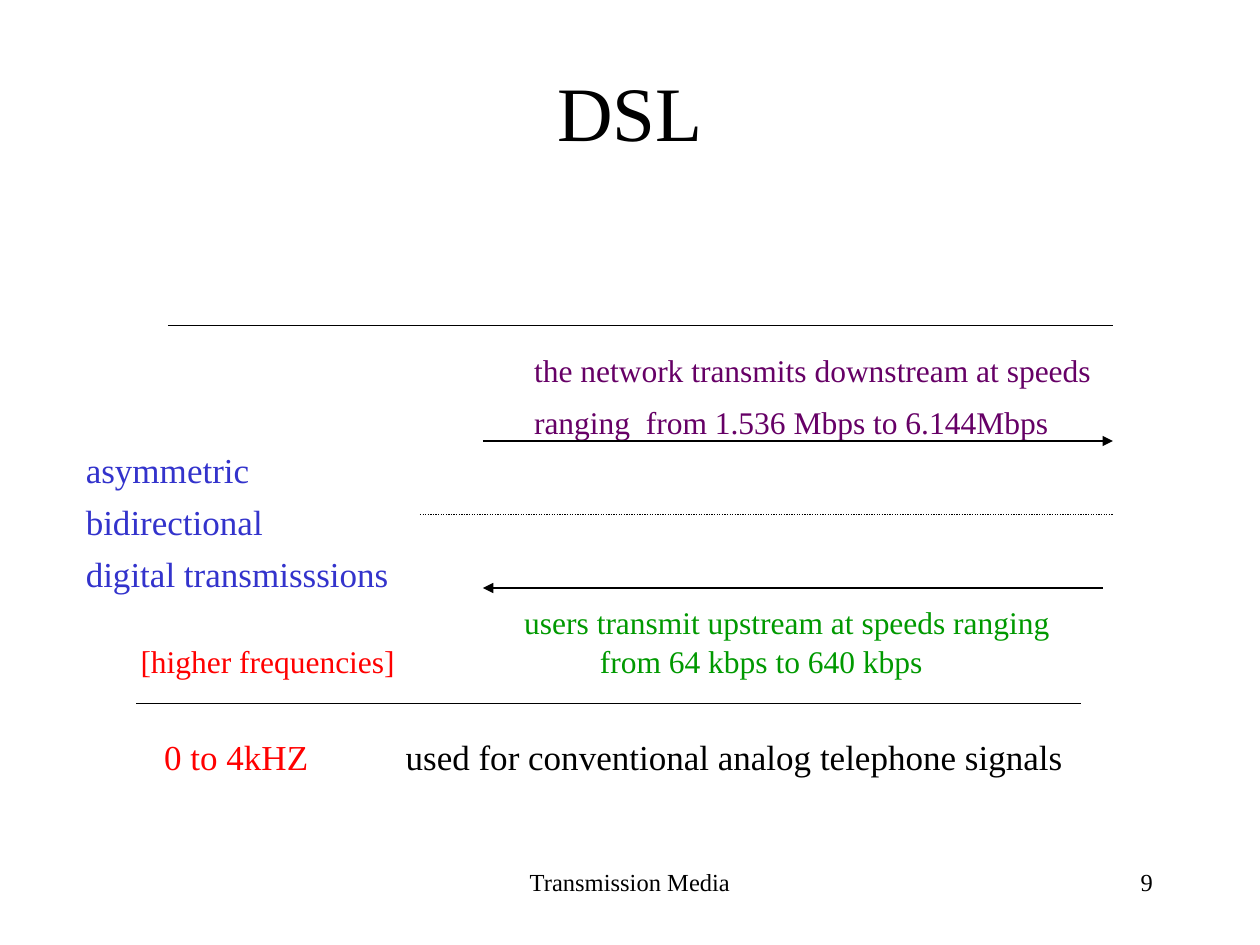
from lxml import etree
from pptx import Presentation
from pptx.dml.color import RGBColor
from pptx.enum.dml import MSO_LINE
from pptx.enum.shapes import MSO_CONNECTOR
from pptx.enum.text import MSO_ANCHOR, PP_ALIGN
from pptx.oxml.ns import qn
from pptx.util import Pt

LEFT, CENTER, RIGHT = PP_ALIGN.LEFT, PP_ALIGN.CENTER, PP_ALIGN.RIGHT
MIDDLE = MSO_ANCHOR.MIDDLE
STRAIGHT = MSO_CONNECTOR.STRAIGHT
DOTTED = MSO_LINE.ROUND_DOT
FONT = "Times New Roman"
BLACK, PURPLE, BLUE, GREEN, RED = "000000", "660066", "3333CC", "009900", "FF0000"


def color(value):
    return RGBColor.from_string(value)


def add_text(lines, left, top, width, height, size, text_color, alignment=LEFT, gap=0):
    shape = slide.shapes.add_textbox(Pt(left), Pt(top), Pt(width), Pt(height))
    frame = shape.text_frame
    frame.word_wrap = True
    frame.margin_left = frame.margin_right = 0
    frame.margin_top = frame.margin_bottom = 0
    for index, line in enumerate(lines):
        paragraph = frame.add_paragraph() if index else frame.paragraphs[0]
        paragraph.text = line
        paragraph.alignment = alignment
        paragraph.space_before = Pt(gap if index else 0)
        paragraph.font.name = FONT
        paragraph.font.size = Pt(size)
        paragraph.font.color.rgb = color(text_color)
    return frame


presentation = Presentation()
presentation.slide_width = Pt(720)
presentation.slide_height = Pt(540)
slide = presentation.slides.add_slide(presentation.slide_layouts[6])

title = add_text(["DSL"], 54, 24, 612, 78, 44, BLACK, CENTER)
title.vertical_anchor = MIDDLE

downstream = [
    "the network transmits downstream at speeds",
    "ranging  from 1.536 Mbps to 6.144Mbps",
]
add_text(downstream, 305.2, 200.5, 360, 50, 18, PURPLE, gap=8.4)

transmission = ["asymmetric", "bidirectional", "digital transmisssions"]
add_text(transmission, 49, 256.5, 190, 81, 20, BLUE, gap=5.7)

labels = [
    ("users transmit upstream at speeds ranging", 299.6, 344.5, 340, 18, GREEN),
    ("[higher frequencies]", 80.3, 366.7, 170, 18, RED),
    ("from 64 kbps to 640 kbps", 342.8, 366.7, 220, 18, GREEN),
    ("0 to 4kHZ", 93.8, 420, 110, 20, RED),
    ("used for conventional analog telephone signals", 231.8, 420, 420, 20, BLACK),
]
for label, left, top, width, size, text_color in labels:
    add_text([label], left, top, width, 24, size, text_color)

add_text(["Transmission Media"], 253.2, 495.6, 213.6, 28.8, 14, BLACK, CENTER)
add_text(["9"], 523.2, 495.6, 135.6, 28.8, 14, BLACK, RIGHT)

lines = [
    (78, 618, 402, False, False),
    (96, 636, 186, False, False),
    (240, 636, 294, True, False),
    (276, 636, 252, False, True),
    (630, 276, 336, False, True),
]
for start, end, y, dotted, arrow in lines:
    connector = slide.shapes.add_connector(STRAIGHT, Pt(start), Pt(y), Pt(end), Pt(y))
    connector.line.color.rgb = color(BLACK)
    connector.line.width = Pt(0.75)
    if dotted:
        connector.line.dash_style = DOTTED
    if arrow:
        etree.SubElement(connector.line._get_or_add_ln(), qn("a:tailEnd"), type="triangle")
    etree.SubElement(connector._element.spPr, qn("a:effectLst"))

presentation.save("out.pptx")
